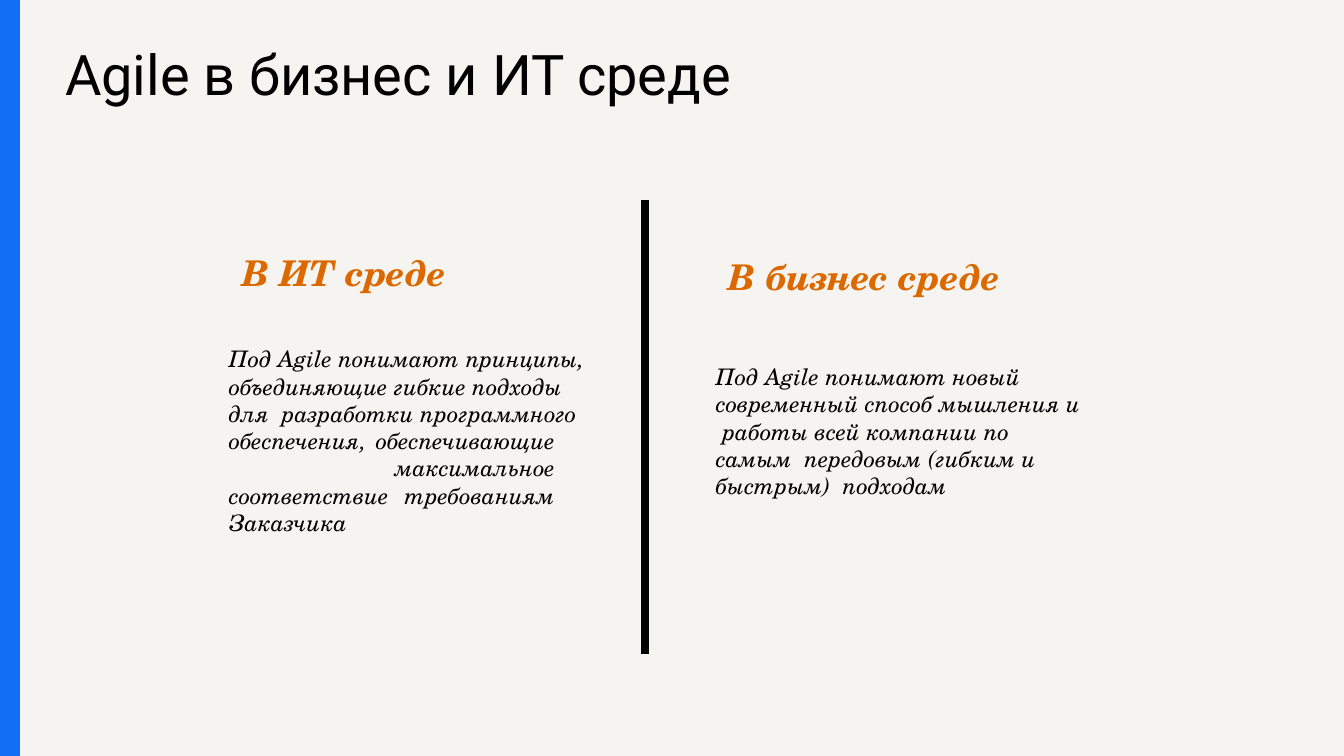
from dataclasses import dataclass

import pptx
import pptx.dml.color
import pptx.enum.shapes
import pptx.enum.text
import pptx.oxml
import pptx.oxml.ns
import pptx.util

EMU_PER_PX = 914400 / 134.4
COLORS = {"background": "F5F4F0", "stripe": "136EF6", "heading": "DC6900", "ink": "000000"}
SERIF = "TeX Gyre Schola"
JUSTIFY_RIGHT_INDENT = 53
TIGHT = -10  # letter spacing in hundredths of a point

Piece = tuple[str, int]


@dataclass(frozen=True)
class Paragraph:
    pieces: list[Piece]
    justified: bool = False


@dataclass(frozen=True)
class Block:
    box: tuple[int, int, int, int]
    paragraphs: list[Paragraph]
    size: float = 12.2
    color: str = "ink"
    bold: bool = False


def heading(box: tuple[int, int, int, int], subject: str) -> Block:
    words = Paragraph([("В ", 0), (subject, TIGHT), ("среде", 0)])
    return Block(box, [words], 19, "heading", True)


BLOCKS = [
    Block((715, 362, 367, 140), [
        Paragraph([("Под Agile понимают новый", 0)]),
        Paragraph([("современный способ мышления и  работы всей компании по "
                    "самым  передовым (гибким и быстрым)  подходам", 0)]),
    ]),
    heading((728, 254, 281, 44), "бизнес "),
    Block((228, 344, 380, 168), [
        Paragraph([("Под Agile понимают ", 0), ("принципы,  ", TIGHT),
                   ("объединяющие гибкие подходы для  разработки программного", 0)]),
        Paragraph([("обеспечения, обеспечивающие  максимальное соответствие  "
                    "требованиям Заказчика", 0)], justified=True),
    ]),
    heading((241, 250, 208, 44), "ИТ "),
]


def px(length: int) -> int:
    return round(length * EMU_PER_PX)


def rgb(name: str) -> pptx.dml.color.RGBColor:
    return pptx.dml.color.RGBColor.from_string(COLORS[name])


def set_insets(frame, left: int, top: int, right: int, bottom: int) -> None:
    frame.margin_left, frame.margin_top = px(left), px(top)
    frame.margin_right, frame.margin_bottom = px(right), px(bottom)


def add_block(slide, block: Block) -> None:
    frame = slide.shapes.add_textbox(*map(px, block.box)).text_frame
    frame.word_wrap = True
    set_insets(frame, 0, 1, 0, 0)
    for index, content in enumerate(block.paragraphs):
        paragraph = frame.paragraphs[0] if index == 0 else frame.add_paragraph()
        properties = paragraph._p.get_or_add_pPr()
        properties.set("marL", str(px(1)))
        if content.justified:
            paragraph.alignment = pptx.enum.text.PP_ALIGN.JUSTIFY
            properties.set("marR", str(px(JUSTIFY_RIGHT_INDENT)))
        for text, spacing in content.pieces:
            run = paragraph.add_run()
            run.text = text
            run.font.name = SERIF
            run.font.size = pptx.util.Pt(block.size)
            run.font.italic = True
            run.font.bold = block.bold
            run.font.color.rgb = rgb(block.color)
            if spacing:
                run._r.get_or_add_rPr().set("spc", str(spacing))


def add_title(slide) -> None:
    title = slide.shapes.title
    title.left, title.top, title.width, title.height = map(px, (52, 27, 890, 137))
    frame = title.text_frame
    frame.text = "Agile в бизнес и ИТ среде"
    frame.word_wrap = True
    frame.vertical_anchor = pptx.enum.text.MSO_ANCHOR.TOP
    set_insets(frame, 13, 13, 13, 13)
    paragraph = frame.paragraphs[0]
    paragraph.alignment = pptx.enum.text.PP_ALIGN.LEFT
    font = paragraph.runs[0].font
    font.name = "Roboto"
    font.size = pptx.util.Pt(30)
    font.color.rgb = rgb("ink")


def add_stripe(slide) -> None:
    stripe = slide.shapes.add_shape(
        pptx.enum.shapes.MSO_SHAPE.RECTANGLE, *map(px, (0, -1, 20, 759)))
    stripe.shadow.inherit = False
    stripe.fill.solid()
    stripe.fill.fore_color.rgb = rgb("stripe")
    stripe.line.fill.background()


def add_divider(slide) -> None:
    divider = slide.shapes.add_connector(
        pptx.enum.shapes.MSO_CONNECTOR.STRAIGHT, *map(px, (645, 200, 645, 654)))
    divider.line.width = pptx.util.Pt(3.81)
    divider.line.color.rgb = rgb("ink")
    divider._element.spPr.append(pptx.oxml.parse_xml(
        f"<a:effectLst {pptx.oxml.ns.nsdecls('a')}/>"))


def main() -> None:
    deck = pptx.Presentation()
    deck.slide_width, deck.slide_height = px(1344), px(756)
    slide = deck.slides.add_slide(deck.slide_layouts.get_by_name("Title Only"))
    slide.background.fill.solid()
    slide.background.fill.fore_color.rgb = rgb("background")
    add_title(slide)
    add_stripe(slide)
    for block in BLOCKS:
        add_block(slide, block)
    add_divider(slide)
    deck.save("out.pptx")


if __name__ == "__main__":
    main()
